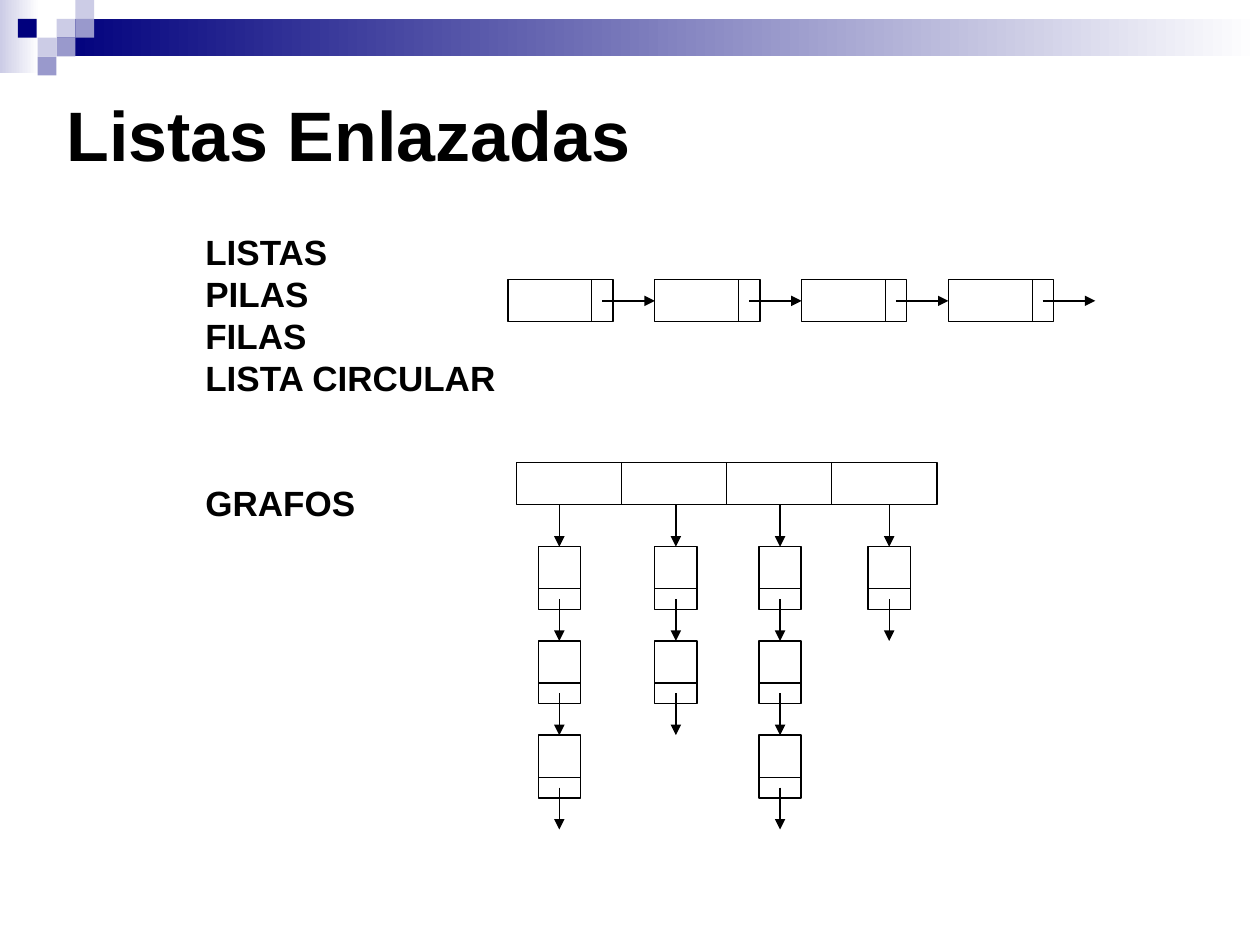
"""Build the slide on linked lists with a list diagram and a graph diagram."""
import pptx
import pptx.dml.color
import pptx.enum.shapes
import pptx.oxml
import pptx.oxml.ns
import pptx.util

Cm = pptx.util.Cm
Pt = pptx.util.Pt
RGBColor = pptx.dml.color.RGBColor

BLACK = RGBColor(0x00, 0x00, 0x00)
WHITE = RGBColor(0xFF, 0xFF, 0xFF)
NAVY = RGBColor(0x00, 0x00, 0x7D)
MID = RGBColor(0x99, 0x99, 0xCC)
PALE = RGBColor(0xCC, 0xCC, 0xE6)

prs = pptx.Presentation()
prs.slide_width, prs.slide_height = Cm(25.4), Cm(19.05)
s = prs.slides.add_slide(prs.slide_layouts[6])


def add_rect(x, y, w, h, fill=None, fade=False):
    sp = s.shapes.add_shape(pptx.enum.shapes.MSO_SHAPE.RECTANGLE, Cm(x), Cm(y), Cm(w), Cm(h))
    sp.shadow.inherit = False
    if fill is None:
        sp.fill.background()
        sp.line.color.rgb = BLACK
        sp.line.width = Pt(0.75)
        return sp
    sp.line.fill.background()
    if fade:
        sp.fill.gradient()
        sp.fill.gradient_angle = 0
        for stop, position, color in zip(sp.fill.gradient_stops, (0, 1), (fill, WHITE)):
            stop.position = position
            stop.color.rgb = color
    else:
        sp.fill.solid()
        sp.fill.fore_color.rgb = fill
    return sp


def add_line(x1, y1, x2, y2, arrow=False):
    c = s.shapes.add_connector(pptx.enum.shapes.MSO_CONNECTOR.STRAIGHT, Cm(x1), Cm(y1), Cm(x2), Cm(y2))
    c.line.color.rgb = BLACK
    c.line.width = Pt(0.75)
    if arrow:
        tail = pptx.oxml.parse_xml(f'<a:tailEnd {pptx.oxml.ns.nsdecls("a")} type="triangle"/>')
        c.line._get_or_add_ln().append(tail)
    c._element.spPr.append(pptx.oxml.parse_xml(f'<a:effectLst {pptx.oxml.ns.nsdecls("a")}/>'))
    return c


add_rect(0, 0, 0.79, 1.47, PALE, fade=True)
add_rect(1.14, 0.38, 24.26, 0.76, NAVY, fade=True)
tile = 0.38
for x, y, color in [
    (1.14, 0.38, PALE), (1.52, 0, PALE), (1.52, 0.38, MID), (0.76, 0.76, PALE),
    (0.36, 0.38, NAVY), (1.14, 0.76, MID), (0.76, 1.14, MID),
]:
    add_rect(x, y, tile, tile, color)

texts = [
    (1.09, 1.73, 22.86, 3.81, 40, ["Listas Enlazadas"]),
    (3.89, 4.52, 7.59, 3.63, 20, ["LISTAS", "PILAS", "FILAS", "LISTA CIRCULAR"]),
    (3.89, 9.58, 4.24, 1.09, 20, ["GRAFOS"]),
]
for x, y, w, h, size, lines in texts:
    tf = s.shapes.add_textbox(Cm(x), Cm(y), Cm(w), Cm(h)).text_frame
    tf.word_wrap = True
    tf.text = "\n".join(lines)
    for p in tf.paragraphs:
        p.line_spacing = Pt(1.2 * size)
        p.font.name = "Arial"
        p.font.size = Pt(size)
        p.font.bold = True
        p.font.color.rgb = BLACK

cell_w, cell_h = 2.12, 0.85

list_x, list_y, list_step = 10.24, 5.64, 2.96
arrow = None
for i in range(4):
    x = list_x + i * list_step
    mid = list_y + cell_h / 2
    node = add_rect(x, list_y, cell_w, cell_h)
    if arrow:
        arrow.end_connect(node, 1)
    add_line(x + 1.69, list_y, x + 1.69, list_y + cell_h)
    arrow = add_line(x + 1.9, mid, x + list_step, mid, arrow=True)

array_x, array_y = 10.41, 9.32
node_w, node_h, node_step = 0.85, 1.27, 1.9
first_y = array_y + 2 * cell_h
for i, (x, count) in enumerate([(10.85, 3), (13.2, 2), (15.3, 3), (17.5, 1)]):
    add_rect(array_x + i * cell_w, array_y, cell_w, cell_h)
    mid = x + node_w / 2
    arrow = add_line(mid, array_y + cell_h, mid, first_y, arrow=True)
    for j in range(count):
        y = first_y + j * node_step
        node = add_rect(x, y, node_w, node_h)
        arrow.end_connect(node, 0)
        add_line(x, y + 0.85, x + node_w, y + 0.85)
        arrow = add_line(mid, y + 1.06, mid, y + node_step, arrow=True)

prs.save("out.pptx")
